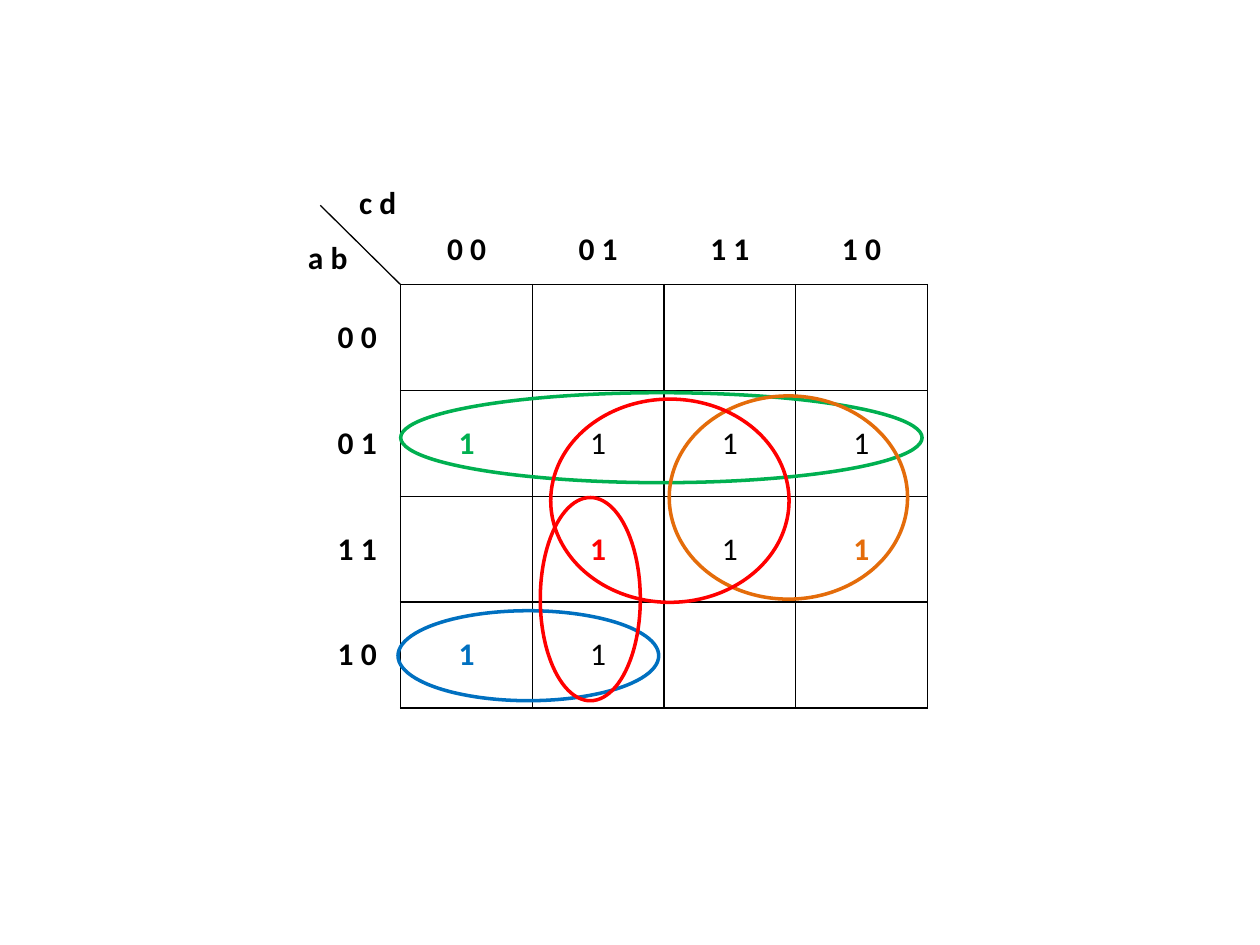
import pptx
import pptx.util
import pptx.dml.color
import pptx.enum.shapes
import pptx.enum.text
import pptx.oxml.ns
from lxml import etree

RGB = pptx.dml.color.RGBColor
BLACK = RGB(0x00, 0x00, 0x00)
GREEN = RGB(0x00, 0xB0, 0x50)
BLUE = RGB(0x00, 0x70, 0xC0)
ORANGE = RGB(0xE4, 0x6C, 0x0A)
RED = RGB(0xFF, 0x00, 0x00)

INCH = pptx.util.Inches(1)
COLUMN, ROW = 1.045 * INCH, 0.84 * INCH
LABEL_WIDTH, LABEL_HEIGHT = 0.69 * INCH, 0.55 * INCH
MAP_LEFT, MAP_TOP = 3.18 * INCH, 2.26 * INCH  # corner of the inner grid

GRAY_CODE = ["0 0", "0 1", "1 1", "1 0"]
MINTERMS = ["", "1111", " 111", "11"]
# Ones covered by a single group take that group's colour: (row, column)
ESSENTIAL = {(1, 0): GREEN, (2, 1): RED, (2, 3): ORANGE, (3, 0): BLUE}
# Left, top, width and height in columns and rows of the inner grid
GROUPS = [
    (0, 1.02, 3.96, 0.85, GREEN),
    (-0.02, 3.08, 1.98, 0.85, BLUE),
    (2.04, 1.05, 1.81, 1.92, ORANGE),
    (1.14, 1.08, 1.81, 1.92, RED),
    (1.06, 2.01, 0.76, 1.92, RED),
]
VARIABLES = [("a b", -0.82, -0.5, 0.53, 0.48), ("c d", -0.53, -1.02, 0.71, 0.73)]


def place(left, top, width, height):
    """Turn columns and rows of the inner grid into slide lengths."""
    return (round(MAP_LEFT + left * COLUMN), round(MAP_TOP + top * ROW),
            round(width * COLUMN), round(height * ROW))


def write(frame, text, color=BLACK, bold=True):
    frame.text = text
    paragraph = frame.paragraphs[0]
    paragraph.alignment = pptx.enum.text.PP_ALIGN.CENTER
    font = paragraph.runs[0].font
    font.name, font.size, font.bold = "Calibri", pptx.util.Pt(18), bold
    font.color.rgb = color


def set_borders(cell, drawn):
    """Draw black edges on the sides named in drawn and clear the others."""
    properties = cell._tc.get_or_add_tcPr()
    qn = pptx.oxml.ns.qn
    for side in "LRTB":
        edge = etree.SubElement(properties, qn(f"a:ln{side}"), w="12700")
        if side in drawn:
            fill = etree.SubElement(edge, qn("a:solidFill"))
            etree.SubElement(fill, qn("a:srgbClr"), val=str(BLACK))
        else:
            etree.SubElement(edge, qn("a:noFill"))


def fill_cell(cell, text, drawn, color=BLACK, bold=True):
    set_borders(cell, drawn)
    cell.fill.background()
    cell.vertical_anchor = pptx.enum.text.MSO_ANCHOR.MIDDLE
    if text.strip():
        write(cell.text_frame, text, color, bold)


def add_map(slide):
    size = len(GRAY_CODE)
    table = slide.shapes.add_table(
        size + 1, size + 1,
        round(MAP_LEFT - LABEL_WIDTH), round(MAP_TOP - LABEL_HEIGHT),
        round(LABEL_WIDTH + size * COLUMN), round(LABEL_HEIGHT + size * ROW)).table
    table.first_row = table.horz_banding = False
    for index in range(size + 1):
        table.columns[index].width = round(COLUMN if index else LABEL_WIDTH)
        table.rows[index].height = round(ROW if index else LABEL_HEIGHT)

    fill_cell(table.cell(0, 0), "", "")
    for row, code in enumerate(GRAY_CODE):
        fill_cell(table.cell(0, row + 1), code, "B")
        fill_cell(table.cell(row + 1, 0), code, "R")
        for column, value in enumerate(MINTERMS[row].ljust(size)):
            key = (row, column)
            fill_cell(table.cell(row + 1, column + 1), value, "LRTB",
                      ESSENTIAL.get(key, BLACK), key in ESSENTIAL)


def add_variable_corner(slide):
    left, top, width, height = place(0, 0, -0.61, -0.75)
    divider = slide.shapes.add_connector(
        pptx.enum.shapes.MSO_CONNECTOR.STRAIGHT, left, top, left + width, top + height)
    divider.line.color.rgb = BLACK
    divider.line.width = pptx.util.Pt(0.75)
    etree.SubElement(divider._element.spPr, pptx.oxml.ns.qn("a:effectLst"))
    for variables, *box in VARIABLES:
        frame = slide.shapes.add_textbox(*place(*box)).text_frame
        frame.word_wrap = True
        write(frame, variables)


def add_groups(slide):
    for *box, color in GROUPS:
        loop = slide.shapes.add_shape(pptx.enum.shapes.MSO_SHAPE.OVAL, *place(*box))
        loop.shadow.inherit = False
        loop.fill.background()
        loop.line.color.rgb = color
        loop.line.width = pptx.util.Pt(2)


def main():
    deck = pptx.Presentation()
    deck.slide_width, deck.slide_height = pptx.util.Inches(10), pptx.util.Inches(7.5)
    slide = deck.slides.add_slide(deck.slide_layouts[6])
    add_map(slide)
    add_variable_corner(slide)
    add_groups(slide)
    deck.save("out.pptx")


if __name__ == "__main__":
    main()
